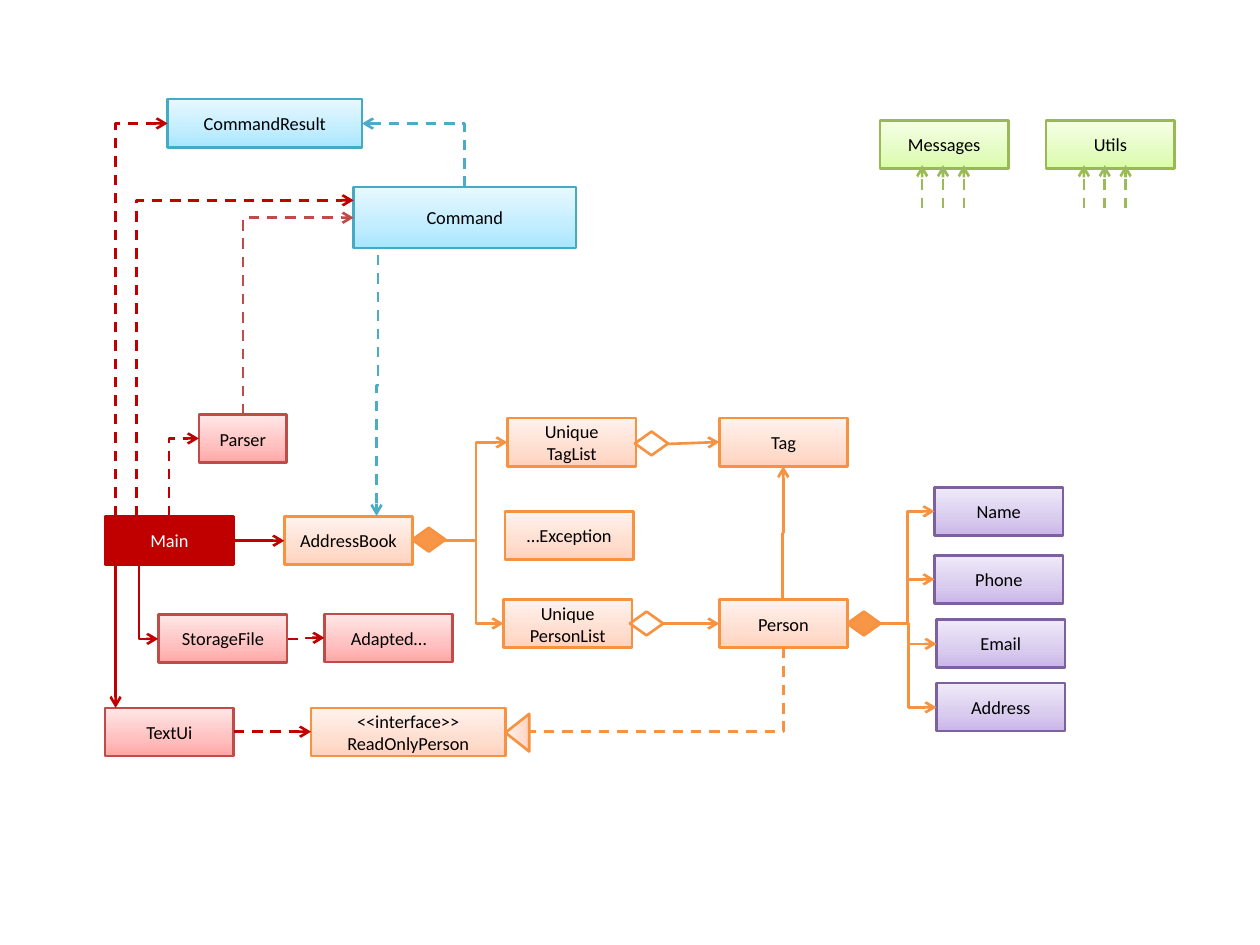
from copy import deepcopy
from pptx import Presentation, util as u
from pptx.dml.color import RGBColor
from pptx.enum import dml, shapes, text
from pptx.oxml.ns import qn
from pptx.oxml.xmlchemy import OxmlElement

RED, ROSE, ORANGE, TEAL, GREEN = "C00000", "BF4C48", "F69240", "4BACC6", "9BBB59"
TONES = {
    "rose": (ROSE, "FFA6A5", "FFC0BF", "FFE7E7"),
    "peach": (ORANGE, "FFD2BD", "FFDED0", "FFF2ED"),
    "blue": ("46AAC5", "A7E6FF", "C1EDFF", "E7F8FF"),
    "lilac": ("7D60A0", "C9B5E8", "D8CBEE", "F0EAF9"),
    "lime": ("98B955", "DAFDA7", "E4FCC2", "F5FFE7"),
}
WIDE, HIGH = 2.59, 0.97
BOXES = [
    ("TextUi", "rose", 2.12, 14.27, WIDE, HIGH),
    ("Parser", "rose", 4.01, 8.36, 1.77, HIGH),
    ("StorageFile", "rose", 3.2, 12.39, WIDE, HIGH),
    ("Adapted…", "rose", 6.54, 12.38, WIDE, HIGH),
    ("AddressBook", "peach", 5.73, 10.41, WIDE, HIGH),
    ("Unique\vTagList", "peach", 10.23, 8.43, WIDE, HIGH),
    ("…Exception", "peach", 10.18, 10.31, WIDE, HIGH),
    ("Unique\vPersonList", "peach", 10.15, 12.09, WIDE, HIGH),
    ("Tag", "peach", 14.5, 8.43, WIDE, HIGH),
    ("Person", "peach", 14.5, 12.09, WIDE, HIGH),
    ("<<interface>>\nReadOnlyPerson", "peach", 6.27, 14.27, 3.92, HIGH),
    ("Name", "lilac", 18.84, 9.83, WIDE, HIGH),
    ("Phone", "lilac", 18.84, 11.2, WIDE, HIGH),
    ("Email", "lilac", 18.88, 12.49, WIDE, HIGH),
    ("Address", "lilac", 18.88, 13.77, WIDE, HIGH),
    ("CommandResult", "blue", 3.38, 2, 3.92, HIGH),
    ("Command", "blue", 7.13, 3.77, 4.48, 1.23),
    ("Messages", "lime", 17.74, 2.43, WIDE, HIGH),
    ("Utils", "lime", 21.09, 2.43, WIDE, HIGH),
]
LINES = [
    (2.33, 11.39, 2.33, 14.27, RED, False),
    (4.71, 10.9, 5.73, 10.9, RED, False),
    (4.71, 14.75, 6.27, 14.75, RED, True),
    (13.47, 8.95, 14.5, 8.91, ORANGE, False),
    (13.37, 12.57, 14.5, 12.57, ORANGE, False),
]
CORNERS = [
    (2.8, 11.39, 3.19, 12.88, RED, False),
    (3.41, 10.41, 4.01, 8.84, RED, True),
    (2.75, 10.41, 7.13, 4.04, RED, True),
    (2.33, 10.41, 3.38, 2.49, RED, True),
    (4.9, 8.36, 7.13, 4.39, ROSE, True),
    (9.37, 3.77, 7.3, 2.49, TEAL, True),
]
RISES = [
    (15.77, 12.09, 15.79, 9.4, ORANGE, False),
    (7.62, 5.14, 7.59, 10.4, TEAL, True),
]
FIELDS = [(18.84, 10.31), (18.84, 11.68), (18.88, 12.98), (18.88, 14.26)]


def hue(code):
    return RGBColor.from_string(code)


def shade(shape, tones):
    shape.fill.gradient()
    shape.fill.gradient_angle = 90
    stops = shape._element.spPr.find(".//" + qn("a:gsLst"))
    stops.append(deepcopy(stops[0]))
    for stop, tone, at in zip(shape.fill.gradient_stops, tones, (0, 0.35, 1)):
        stop.color.rgb = hue(tone)
        stop.position = at


def add_form(slide, kind, x, y, w, h, edge):
    form = slide.shapes.add_shape(kind, u.Cm(x), u.Cm(y), u.Cm(w), u.Cm(h))
    form.shadow.inherit = False
    form.line.color.rgb = hue(edge)
    form.line.width = u.Pt(1.5)
    return form


def add_box(slide, label, x, y, w, h, edge, ink="000000"):
    box = add_form(slide, shapes.MSO_SHAPE.RECTANGLE, x, y, w, h, edge)
    frame = box.text_frame
    frame.text = label
    frame.word_wrap = True
    frame.margin_left = frame.margin_right = u.Cm(0.1)
    frame.margin_top = frame.margin_bottom = 0
    frame.vertical_anchor = text.MSO_ANCHOR.MIDDLE
    for para in frame.paragraphs:
        para.alignment = text.PP_ALIGN.CENTER
        para.font.name = "Calibri"
        para.font.size = u.Pt(10.5)
        para.font.color.rgb = hue(ink)
    return box


def add_gem(slide, x, y, full):
    gem = add_form(slide, shapes.MSO_SHAPE.FLOWCHART_DECISION, x, y, 0.67, 0.48, ORANGE)
    if full:
        gem.fill.solid()
        gem.fill.fore_color.rgb = hue("F79646")
    else:
        gem.fill.background()


def add_wire(slide, x1, y1, x2, y2, tone, dash, kind=shapes.MSO_CONNECTOR.STRAIGHT, head=True):
    wire = slide.shapes.add_connector(kind, *map(u.Cm, (x1, y1, x2, y2)))
    wire.line.color.rgb = hue(tone)
    wire.line.width = u.Pt(1.5)
    if dash:
        wire.line.dash_style = dml.MSO_LINE.DASH
    if head:
        tip = OxmlElement("a:tailEnd")
        tip.set("type", "arrow")
        wire.line._get_or_add_ln().append(tip)
    wire._element.spPr.append(OxmlElement("a:effectLst"))
    return wire


def add_step(slide, x1, y1, x2, y2, tone, dash, bend=0.5):
    wire = add_wire(slide, x1, y1, x2, y2, tone, dash, shapes.MSO_CONNECTOR.ELBOW)
    guide = OxmlElement("a:gd")
    guide.set("name", "adj1")
    guide.set("fmla", f"val {round(bend * 100000)}")
    wire._element.spPr.find(".//" + qn("a:avLst")).append(guide)


def add_turn(slide, x1, y1, x2, y2, tone, dash, form, head=True):
    wire = add_wire(slide, x1, y1, x2, y2, tone, dash, shapes.MSO_CONNECTOR.ELBOW, head)
    w, h = abs(y2 - y1), abs(x2 - x1)
    wire.left, wire.top = u.Cm((x1 + x2 - w) / 2), u.Cm((y1 + y2 - h) / 2)
    wire.width, wire.height = u.Cm(w), u.Cm(h)
    frame = wire._element.spPr.find(qn("a:xfrm"))
    frame.set("rot", "5400000")
    frame.set("flipH", str(int(y2 < y1)))
    frame.set("flipV", str(int(x2 > x1)))
    wire._element.spPr.find(qn("a:prstGeom")).set("prst", form)


def main():
    deck = Presentation()
    deck.slide_width, deck.slide_height = u.Cm(25.4), u.Cm(19.05)
    slide = deck.slides.add_slide(deck.slide_layouts[6])

    for label, key, *place in BOXES:
        edge, *tones = TONES[key]
        shade(add_box(slide, label, *place, edge), tones)
    root = add_box(slide, "Main", 2.12, 10.41, WIDE, HIGH, RED, "FFFFFF")
    root.fill.solid()
    root.fill.fore_color.rgb = hue(RED)

    for spot in LINES:
        add_wire(slide, *spot)
    for x in (18.59, 21.85):
        for i in range(3):
            add_wire(slide, x + 0.42 * i, 4.2, x + 0.42 * i, 3.33, GREEN, True)
    for spot in CORNERS:
        add_turn(slide, *spot, "bentConnector2")
    add_turn(slide, 15.79, 13.06, 10.67, 14.75, ORANGE, True, "bentConnector2", False)
    for spot in RISES:
        add_turn(slide, *spot, "bentConnector3")
    add_step(slide, 8.97, 10.9, 10.23, 8.92, ORANGE, False)
    add_step(slide, 8.97, 10.9, 10.15, 12.57, ORANGE, False, 0.53)
    add_step(slide, 5.8, 12.88, 6.54, 12.86, RED, True)
    for x, y in FIELDS:
        add_step(slide, 17.74, 12.57, x, y, ORANGE, False)

    for x, y, full in ((17.08, 12.33, True), (8.31, 10.64, True),
                       (12.8, 8.7, False), (12.7, 12.33, False)):
        add_gem(slide, x, y, full)
    tip = add_form(slide, shapes.MSO_SHAPE.ISOSCELES_TRIANGLE, 10.05, 14.53, 0.76, 0.48, ORANGE)
    shade(tip, TONES["peach"][1:])
    tip.rotation = 270
    deck.save("out.pptx")


if __name__ == "__main__":
    main()
